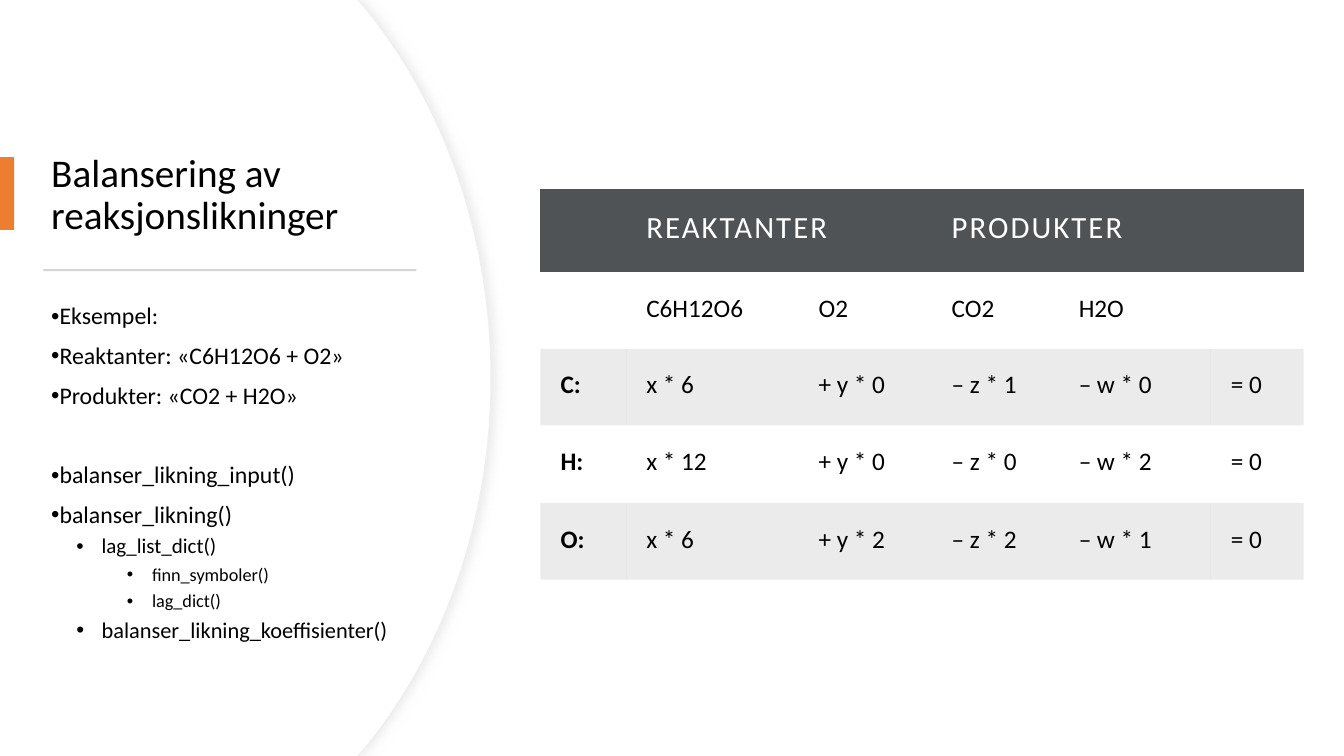
"""Build a slide on balancing reaction equations, with an outline and a coefficient table."""
import pptx
import pptx.dml.color
import pptx.enum.shapes
import pptx.enum.text
import pptx.oxml
import pptx.oxml.ns
import pptx.util

Inches, Pt = pptx.util.Inches, pptx.util.Pt
qn = pptx.oxml.ns.qn
FONT = "Calibri"
NO_STYLE = "{2D5ABB26-0587-4C30-8999-92F81FD0307C}"
NS = pptx.oxml.ns.nsdecls("a")

TITLE = "Balansering av reaksjonslikninger"
OUTLINE = [
    ("Eksempel:", 0, 17, 10),
    ("Reaktanter: «C6H12O6 + O2»", 0, 17, 10),
    ("Produkter: «CO2 + H2O»", 0, 17, 10),
    ("balanser_likning_input()", 0, 17, 38.5),
    ("balanser_likning()", 0, 17, 10),
    ("lag_list_dict()", 1, 15, 5),
    ("finn_symboler()", 2, 13, 5),
    ("lag_dict()", 2, 13, 5),
    ("balanser_likning_koeffisienter()", 1, 16, 5),
]
TABLE = [
    ["", "REAKTANTER", "", "PRODUKTER", "", ""],
    ["", "C6H12O6", "O2", "CO2", "H2O", ""],
    ["C:", "x * 6", "+ y * 0", "– z * 1", "– w * 0", "= 0"],
    ["H:", "x * 12", "+ y * 0", "– z * 0", "– w * 2", "= 0"],
    ["O:", "x * 6", "+ y * 2", "– z * 2", "– w * 1", "= 0"],
]
COL_WIDTHS = [0.85, 1.71, 1.32, 1.26, 1.51, 0.92]
ROW_HEIGHTS = [0.83, 0.76, 0.76, 0.77, 0.76]
BARS = [(0, 1.56, 0.14, 0.72, "ED7D31"), (0.43, 2.67, 3.7, 0.02, "D5D5D5")]
PANEL_EDGES = [4.87, 4.86]
PANEL_OUTLINE = [
    (-1.32, 0), (-1.25, 0.08),
    (-0.48, 1.02), (0, 2.32), (0, 3.75),
    (0, 5.18), (-0.48, 6.48), (-1.25, 7.42),
    (-1.32, 7.5),
]
CURVE_STARTS = (2, 5)


def rgb(value):
    return pptx.dml.color.RGBColor.from_string(value)


def paint(fill, color, alpha=None):
    fill.solid()
    fill.fore_color.rgb = rgb(color)
    if alpha:
        clr = fill._xPr.find(".//" + qn("a:srgbClr"))
        clr.append(pptx.oxml.parse_xml(f'<a:alpha {NS} val="{alpha * 1000}"/>'))


def write(p, text, size=18, color="000000", bold=False, spacing=0):
    r = p.add_run()
    r.text = text
    r.font.name, r.font.size, r.font.bold = FONT, Pt(size), bold
    r.font.color.rgb = rgb(color)
    if spacing:
        r._r.get_or_add_rPr().set("spc", str(int(spacing * 100)))


def bend(sp):
    segments = list(sp._element.iter(qn("a:lnTo")))
    for start in CURVE_STARTS:
        curve = pptx.oxml.parse_xml(f"<a:cubicBezTo {NS}/>")
        segments[start].addprevious(curve)
        for segment in segments[start:start + 3]:
            curve.append(segment[0])
            segment.getparent().remove(segment)


def add_panel(slide, edge, shadowed):
    points = [(Inches(edge + x), Inches(y)) for x, y in PANEL_OUTLINE]
    builder = slide.shapes.build_freeform(0, 0)
    builder.add_line_segments(points + [(0, Inches(7.5))], close=True)
    sp = builder.convert_to_shape()
    bend(sp)
    sp.shadow.inherit = False
    paint(sp.fill, "FFFFFF")
    if not shadowed:
        sp.line.fill.background()
        return
    paint(sp.line.fill, "EFEFEF")
    sp.line.width = Pt(0.75)
    effects = sp._element.spPr.find(qn("a:effectLst"))
    effects.append(pptx.oxml.parse_xml(
        f'<a:outerShdw {NS} blurRad="{Pt(7)}" dist="{Pt(3)}" dir="0" algn="l" rotWithShape="0">'
        '<a:srgbClr val="D9D9D9"><a:alpha val="50000"/></a:srgbClr></a:outerShdw>'))


def add_bar(slide, left, top, width, height, color):
    sp = slide.shapes.add_shape(pptx.enum.shapes.MSO_SHAPE.RECTANGLE,
                                Inches(left), Inches(top), Inches(width), Inches(height))
    sp.shadow.inherit = False
    paint(sp.fill, color)
    sp.line.fill.background()


def add_text_frame(slide, top, height):
    tf = slide.shapes.add_textbox(Inches(0.41), Inches(top), Inches(3.76), Inches(height)).text_frame
    tf.word_wrap = True
    return tf


def add_outline(slide):
    tf = add_text_frame(slide, 2.97, 3.51)
    for i, (text, level, size, before) in enumerate(OUTLINE):
        p = tf.add_paragraph() if i else tf.paragraphs[0]
        p.level, p.line_spacing, p.space_before = level, 0.9, Pt(before)
        pPr = p._p.get_or_add_pPr()
        pPr.set("marL", str(Inches(0.5 * level)))
        pPr.set("indent", str(Inches(-0.25)))
        pPr.append(pptx.oxml.parse_xml(f'<a:buFont {NS} typeface="Arial"/>'))
        pPr.append(pptx.oxml.parse_xml(f'<a:buChar {NS} char="•"/>'))
        write(p, text, size=size)


def add_coefficients(slide):
    table = slide.shapes.add_table(len(TABLE), len(COL_WIDTHS), Inches(5.36), Inches(1.87),
                                   Inches(sum(COL_WIDTHS)), Inches(sum(ROW_HEIGHTS))).table
    table.first_row = table.horz_banding = False
    table._tbl.tblPr.find(qn("a:tableStyleId")).text = NO_STYLE
    for column, width in zip(table.columns, COL_WIDTHS):
        column.width = Inches(width)
    for row, height in zip(table.rows, ROW_HEIGHTS):
        row.height = Inches(height)
    for i, values in enumerate(TABLE):
        for j, text in enumerate(values):
            cell = table.cell(i, j)
            cell.margin_left = cell.margin_right = Inches(0.2)
            cell.margin_top = cell.margin_bottom = Inches(0.21)
            if i == 0:
                paint(cell.fill, "505356")
            elif i % 2 == 0:
                paint(cell.fill, "000000", alpha=8)
            else:
                cell.fill.background()
            p = cell.text_frame.paragraphs[0]
            if text and i == 0:
                write(p, text, size=22, color="FFFFFF", spacing=1.5)
            elif text:
                write(p, text, bold=j == 0)
    for j in (1, 3):
        table.cell(0, j).merge(table.cell(0, j + 1))


def main():
    prs = pptx.Presentation()
    prs.slide_width, prs.slide_height = Inches(13.33), Inches(7.5)
    s = prs.slides.add_slide(prs.slide_layouts[6])
    for i, edge in enumerate(PANEL_EDGES):
        add_panel(s, edge, shadowed=i == 0)
    tf = add_text_frame(s, 1.27, 1.35)
    tf.vertical_anchor = pptx.enum.text.MSO_ANCHOR.MIDDLE
    tf.paragraphs[0].line_spacing = 0.9
    write(tf.paragraphs[0], TITLE, size=28)
    for bar in BARS:
        add_bar(s, *bar)
    add_outline(s)
    add_coefficients(s)
    prs.save("out.pptx")


if __name__ == "__main__":
    main()
